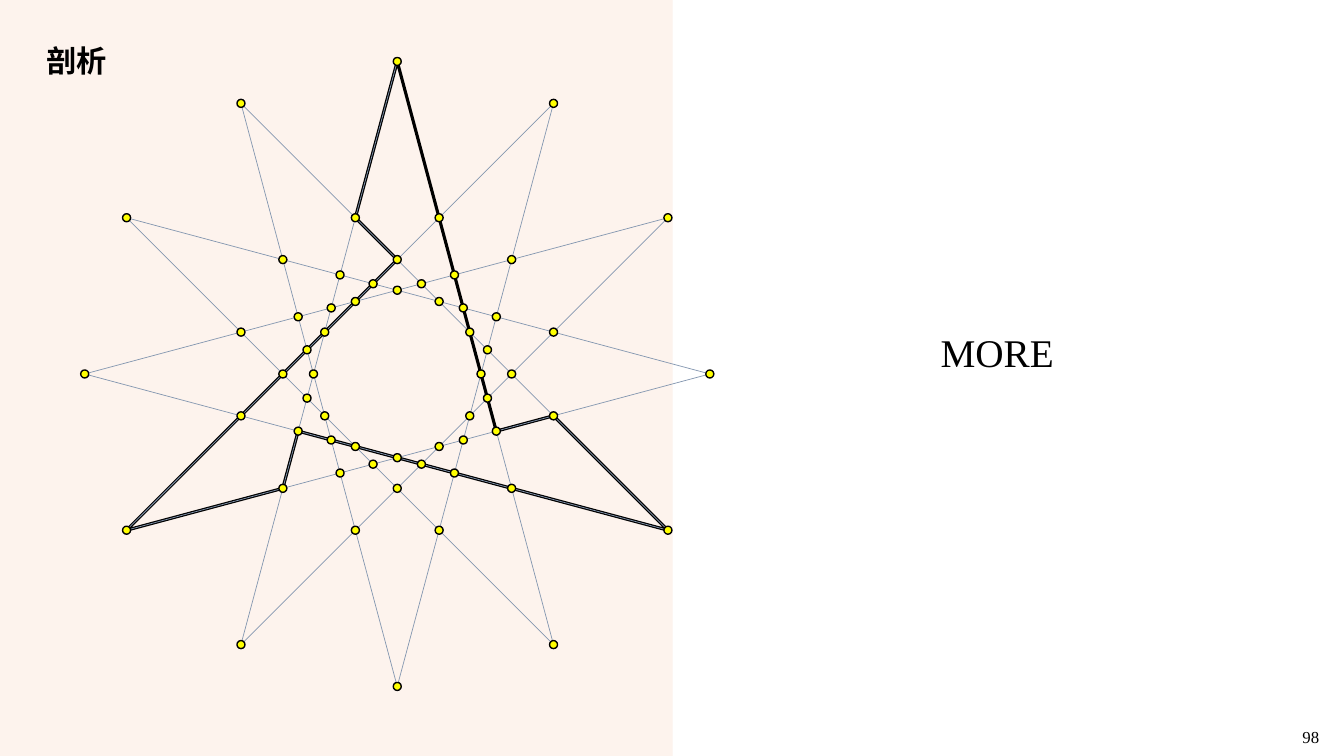
from dataclasses import dataclass
from math import cos, radians, sin

from lxml.etree import SubElement
from pptx import Presentation
from pptx.dml.color import RGBColor
from pptx.enum.shapes import MSO_CONNECTOR, MSO_SHAPE
from pptx.enum.text import MSO_ANCHOR, MSO_AUTO_SIZE, PP_ALIGN
from pptx.oxml.ns import qn
from pptx.util import Inches, Pt

COLORS = {
    "panel": "F4B183", "divider": "FBE5D6", "chord": "8497B0",
    "dot": "FFFF00", "ink": "000000", "white": "FFFFFF",
}
SERIF = "Times New Roman"
CJK = "Noto Sans CJK SC"

CENTER_X, CENTER_Y = 3.94, 3.71
TIP_RADIUS = 3.12 - 0.02
TIPS = 12
STEP = 360 / TIPS
CHORD_TURN = 5 * STEP
CHORD_DISTANCE = TIP_RADIUS * cos(radians(CHORD_TURN / 2))
TIP_RING = 5
DOT_SIZE = 0.08


@dataclass(frozen=True)
class Point:
    x: float
    y: float


def star_point(ring: int, angle: float) -> Point:
    """Crossing of two chords whose normals lie ring steps apart; ring 5 is a tip."""
    radius = CHORD_DISTANCE / cos(radians(ring * STEP / 2))
    return Point(CENTER_X + radius * cos(radians(angle)),
                 CENTER_Y - radius * sin(radians(angle)))


def set_alpha(fill, percent: int) -> None:
    color = fill._xPr.find(qn("a:solidFill"))[0]
    SubElement(color, qn("a:alpha")).set("val", str(percent * 1000))


def paint(shape, fill: str | None = None, line: str | None = None, width: float = 1) -> None:
    shape.shadow.inherit = False
    if fill:
        shape.fill.solid()
        shape.fill.fore_color.rgb = RGBColor.from_string(COLORS[fill])
    else:
        shape.fill.background()
    if line:
        shape.line.color.rgb = RGBColor.from_string(COLORS[line])
        shape.line.width = Pt(width)
    else:
        shape.line.fill.background()


def add_line(slide, start: Point, end: Point, color: str, width: float):
    connector = slide.shapes.add_connector(
        MSO_CONNECTOR.STRAIGHT, Inches(start.x), Inches(start.y), Inches(end.x), Inches(end.y))
    connector.line.color.rgb = RGBColor.from_string(COLORS[color])
    connector.line.width = Pt(width)
    SubElement(connector.element.spPr, qn("a:effectLst"))
    return connector


def add_dot(slide, center: Point) -> None:
    dot = slide.shapes.add_shape(
        MSO_SHAPE.OVAL, Inches(center.x - DOT_SIZE / 2), Inches(center.y - DOT_SIZE / 2),
        Inches(DOT_SIZE), Inches(DOT_SIZE))
    paint(dot, fill="dot", line="ink")


def add_outline(slide, corners: list[Point]) -> None:
    vertices = [(Inches(corner.x), Inches(corner.y)) for corner in corners]
    builder = slide.shapes.build_freeform(*vertices[0], scale=1.0)
    builder.add_line_segments(vertices[1:], close=True)
    paint(builder.convert_to_shape(), line="ink", width=2.25)


def write_text(shape, text: str, *, size: float, font: str = SERIF, bold: bool = False,
               align=PP_ALIGN.LEFT, anchor=MSO_ANCHOR.TOP, wrap: bool = False,
               spacing: float = 1.0, auto_size=MSO_AUTO_SIZE.NONE) -> None:
    frame = shape.text_frame
    frame.word_wrap = wrap
    frame.auto_size = auto_size
    frame.vertical_anchor = anchor
    paragraph = frame.paragraphs[0]
    paragraph.alignment = align
    paragraph.line_spacing = spacing
    run = paragraph.add_run()
    run.text = text
    run.font.size = Pt(size)
    run.font.bold = bold
    run.font.color.rgb = RGBColor.from_string(COLORS["ink"])
    run.font.name = font
    SubElement(run.font._element, qn("a:ea")).set("typeface", font)


def add_background(slide) -> None:
    panel = slide.shapes.add_shape(MSO_SHAPE.RECTANGLE, 0, 0, Inches(6.67), Inches(7.5))
    paint(panel, fill="panel")
    set_alpha(panel.fill, 14)
    divider = add_line(slide, Point(6.67, 7.5), Point(6.67, 0), "divider", 0.25)
    set_alpha(divider.line.fill, 50)


def add_star(slide) -> None:
    tips = [star_point(TIP_RING, 300 + CHORD_TURN * index) for index in range(TIPS + 1)]
    first_chord, *other_chords = zip(tips, tips[1:])
    add_line(slide, *first_chord, "chord", 0.5)
    add_outline(slide, [star_point(ring, arm + turn) for arm in (90, 210, 330)
                        for ring, turn in ((TIP_RING, 0), (4, STEP / 2), (3, 0))])
    for start, end in other_chords:
        add_line(slide, start, end, "chord", 0.5)
    for ring in range(1, TIP_RING + 1):
        for index in range(TIPS):
            add_dot(slide, star_point(ring, (index + (ring + 1) / 2) * STEP))


def add_texts(slide) -> None:
    title = slide.shapes.title
    title.left, title.top = Inches(0.36), Inches(0.4)
    title.width, title.height = Inches(5.95), Inches(0.44)
    write_text(title, "剖析", size=21.6, font=CJK, bold=True,
               anchor=MSO_ANCHOR.MIDDLE, spacing=0.9)
    slide.shapes.element.append(title.element)  # in front of the panel

    more = slide.shapes.add_shape(
        MSO_SHAPE.RECTANGLE, Inches(7.92), Inches(2.89), Inches(3.94), Inches(1.21))
    paint(more, fill="white")
    write_text(more, "MORE", size=28, align=PP_ALIGN.CENTER,
               anchor=MSO_ANCHOR.MIDDLE, wrap=True)

    number = slide.shapes.add_textbox(Inches(12.82), Inches(7.16), Inches(0.37), Inches(0.3))
    write_text(number, "98", size=12, auto_size=MSO_AUTO_SIZE.SHAPE_TO_FIT_TEXT)


def main() -> None:
    presentation = Presentation()
    presentation.slide_width = Inches(13.33)
    presentation.slide_height = Inches(7.5)
    slide = presentation.slides.add_slide(presentation.slide_layouts[5])
    add_background(slide)
    add_star(slide)
    add_texts(slide)
    presentation.save("out.pptx")


if __name__ == "__main__":
    main()
